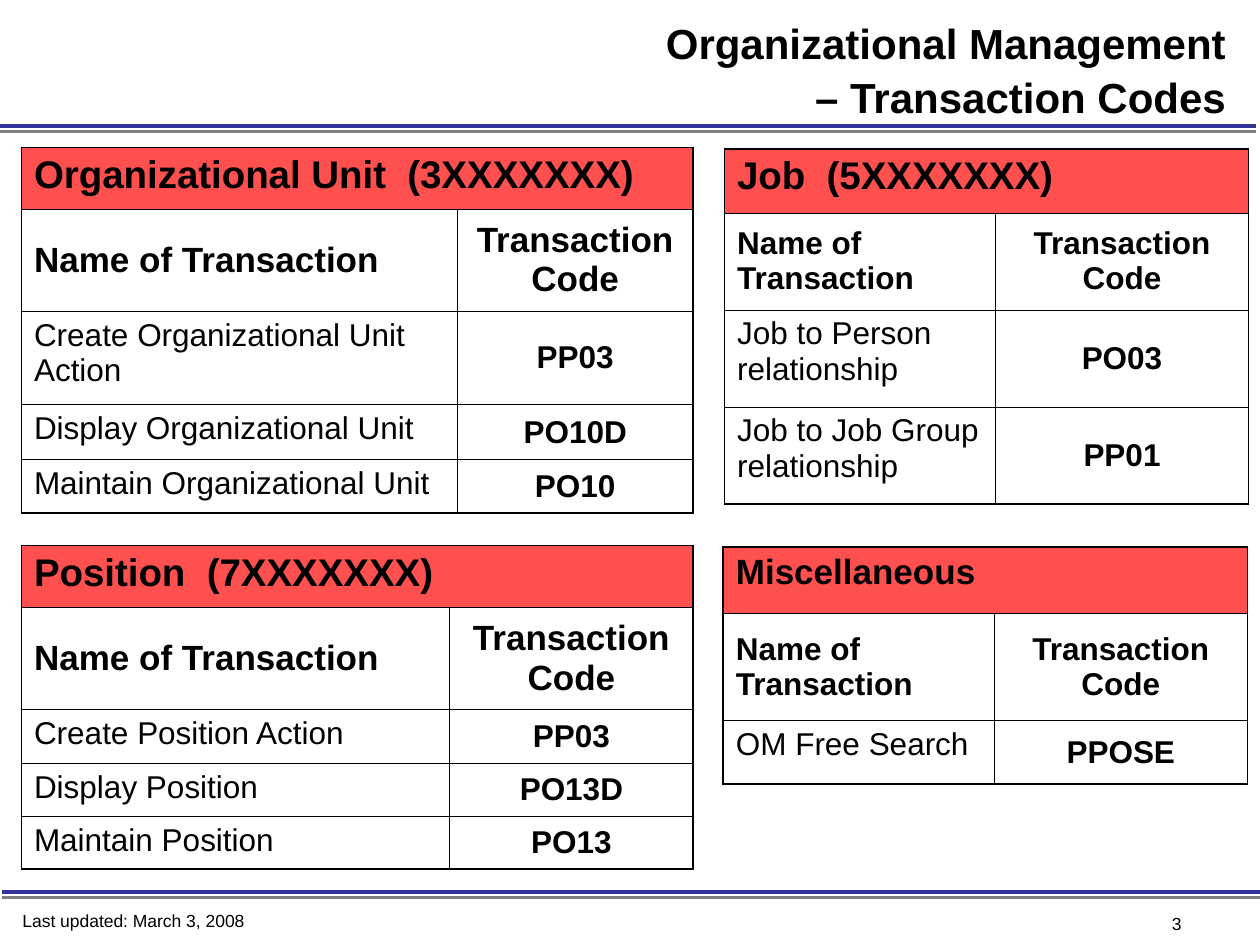
from lxml import etree
from pptx import Presentation
from pptx import util as u
from pptx.dml.color import RGBColor
from pptx.enum import shapes, text
from pptx.oxml.ns import qn

WIDTH, HEIGHT = u.Inches(10), u.Inches(7.5)
COLUMNS, ROWS = 1000, 750  # fine square grid over the slide
COLORS = {"ink": "000000", "header": "FF5050", "blue": "333399", "gray": "808080"}
OUTER, INNER = 1.08, 0.45  # table border widths in points
HEADINGS = ("Name of Transaction", "Transaction Code")

# sizes are the points of the table title and of its headings
TABLES = [
    {"title": "Position  (7XXXXXXX)", "at": (17, 433), "columns": (340, 193),
     "rows": (49, 81, 43, 42, 42), "sizes": (22, 20),
     "codes": [("Create Position Action", "PP03"),
               ("Display Position", "PO13D"),
               ("Maintain Position", "PO13")]},
    {"title": "Organizational Unit  (3XXXXXXX)", "at": (17, 117), "columns": (346, 187),
     "rows": (49, 81, 74, 44, 42), "sizes": (22, 20),
     "codes": [("Create Organizational Unit Action", "PP03"),
               ("Display Organizational Unit", "PO10D"),
               ("Maintain Organizational Unit", "PO10")]},
    {"title": "Job  (5XXXXXXX)", "at": (575, 118), "columns": (215, 201),
     "rows": (51, 77, 77, 77), "sizes": (22, 18),
     "codes": [("Job to Person relationship", "PO03"),
               ("Job to Job Group relationship", "PP01")]},
    {"title": "Miscellaneous", "at": (574, 434), "columns": (215, 201),
     "rows": (53, 85, 50), "sizes": (20, 18),
     "codes": [("OM Free Search", "PPOSE")]},
]


def across(columns):
    return round(WIDTH * columns / COLUMNS)


def down(rows):
    return round(HEIGHT * rows / ROWS)


def color(name):
    return RGBColor.from_string(COLORS[name])


def write(frame, words, size, bold=False, align=text.PP_ALIGN.LEFT):
    para = frame.paragraphs[0]
    para.text = words
    para.alignment = align
    formats = {"name": "Arial", "size": u.Pt(size), "bold": bold}
    for span in para.runs:
        for key, value in formats.items():
            setattr(span.font, key, value)
        span.font.color.rgb = color("ink")
    return para


def add_title(page, words):
    title = page.shapes.title
    place = {"left": across(325), "top": down(8),
             "width": across(658), "height": down(92)}
    for key, value in place.items():
        setattr(title, key, value)
    frame = title.text_frame
    frame.auto_size = text.MSO_AUTO_SIZE.NONE
    frame.vertical_anchor = text.MSO_ANCHOR.MIDDLE
    para = write(frame, words, 24, True, text.PP_ALIGN.RIGHT)
    para.line_spacing = 1.07


def add_rule(page, left, right, row, name):
    rule = page.shapes.add_connector(
        shapes.MSO_CONNECTOR.STRAIGHT, across(left), down(row), across(right), down(row))
    rule.line.color.rgb = color(name)
    rule.line.width = u.Pt(2)
    etree.SubElement(rule._element.spPr, qn("a:effectLst"))


def add_note(page, words, left, top, width, height, margins):
    box = page.shapes.add_textbox(across(left), down(top), across(width), down(height))
    frame = box.text_frame
    frame.word_wrap = True
    for side, margin in zip(("left", "top", "right", "bottom"), margins * 2):
        setattr(frame, f"margin_{side}", u.Inches(margin))
    write(frame, words, 10)


def set_borders(cell, widths):
    """Draw the left, right, top and bottom borders, widths in points."""
    props = cell._tc.get_or_add_tcPr()
    for index, (side, width) in enumerate(zip("LRTB", widths)):
        line = etree.Element(qn(f"a:ln{side}"), w=str(u.Pt(width)))
        fill = etree.SubElement(line, qn("a:solidFill"))
        etree.SubElement(fill, qn("a:srgbClr"), val=COLORS["ink"])
        props.insert(index, line)


def add_code_table(page, title, at, columns, rows, sizes, codes):
    left, top = at
    grid = page.shapes.add_table(
        len(rows), len(columns), across(left), down(top),
        across(sum(columns)), down(sum(rows))).table
    grid.first_row = grid.horz_banding = False
    for column, width in zip(grid.columns, columns):
        column.width = across(width)
    for row, height in zip(grid.rows, rows):
        row.height = down(height)

    last = len(rows) - 1
    for r, words in enumerate([(title, ""), HEADINGS, *codes]):
        for c, label in enumerate(words):
            cell = grid.cell(r, c)
            if r == 0:
                cell.fill.solid()
                cell.fill.fore_color.rgb = color("header")
            else:
                cell.fill.background()
            edges = (c == 0, c == 1 or r == 0, r == 0, r == last)
            set_borders(cell, [OUTER if edge else INNER for edge in edges])
            if r == 1 or c == 1:
                cell.vertical_anchor = text.MSO_ANCHOR.MIDDLE
            write(cell.text_frame, label, sizes[r] if r < 2 else 18, r < 2 or c == 1,
                  text.PP_ALIGN.CENTER if c else text.PP_ALIGN.LEFT)
    grid.cell(0, 0).merge(grid.cell(0, 1))


def main():
    deck = Presentation()
    deck.slide_width, deck.slide_height = WIDTH, HEIGHT
    page = deck.slides.add_slide(deck.slide_layouts[5])
    for left, right, row in ((0, 997, 100), (2, 1000, 708)):
        add_rule(page, left, right, row, "blue")
        add_rule(page, left, right, row + 4.5, "gray")
    add_title(page, "Organizational Management\v– Transaction Codes")
    for table in TABLES:
        add_code_table(page, **table)
    add_note(page, "Last updated: March 3, 2008", 8, 717, 210, 27, (0.1, 0.05))
    add_note(page, "3", 930, 725, 63, 17, (0, 0))
    deck.save("out.pptx")


if __name__ == "__main__":
    main()
